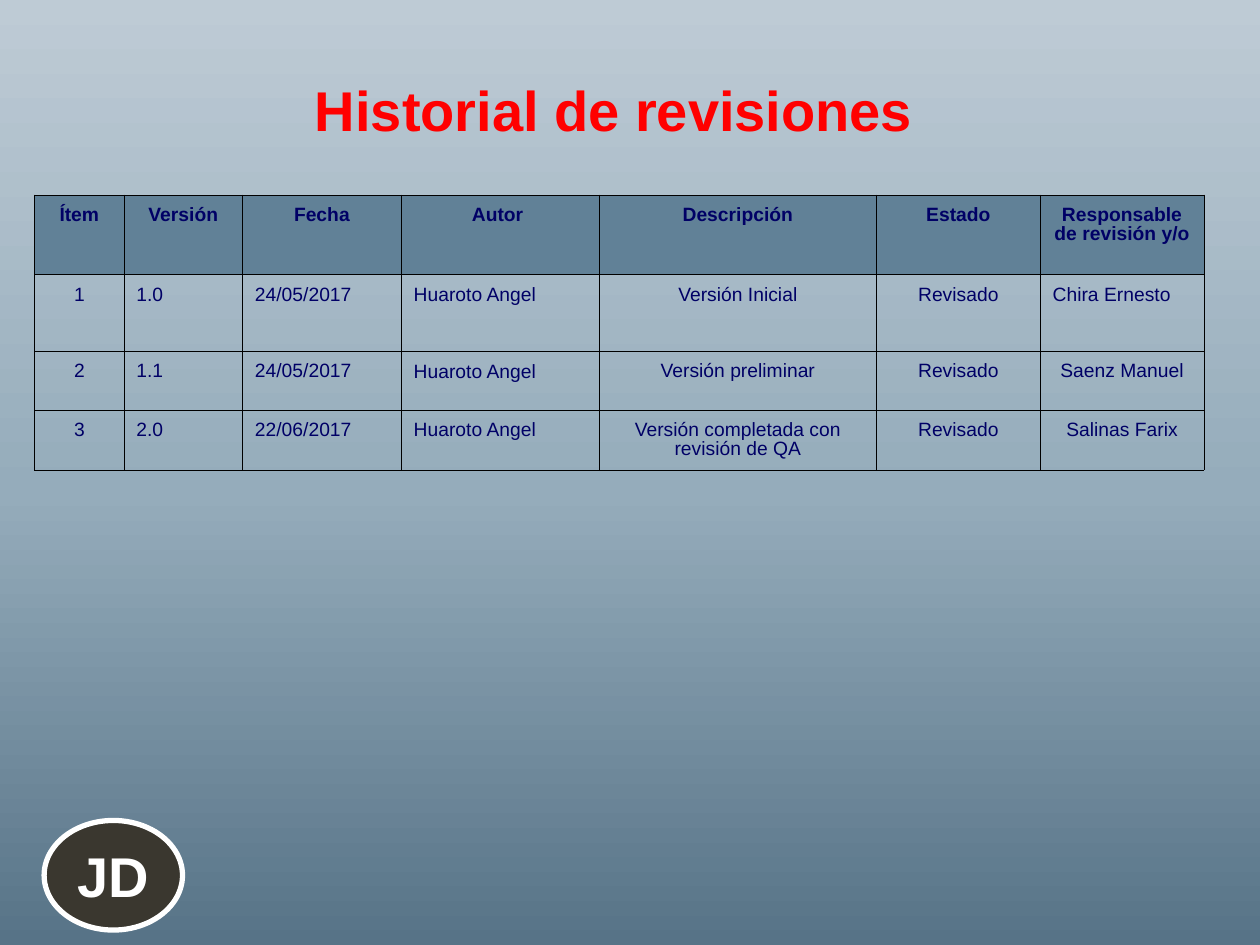
from copy import deepcopy
from dataclasses import dataclass

from lxml import etree
from pptx import Presentation
from pptx import util as u
from pptx.dml.color import RGBColor
from pptx.enum import shapes, text
from pptx.oxml.ns import qn

LEFT = text.PP_ALIGN.LEFT
CENTER = text.PP_ALIGN.CENTER


@dataclass(frozen=True)
class Theme:
    font: str = "Arial"
    title: str = "FF0000"
    ink: str = "000066"
    header: str = "618197"
    border: str = "000000"
    badge: str = "3A372F"
    white: str = "FFFFFF"
    gradient: tuple = ((0, "577387"), (0.48, "95ACBB"), (1, "BECBD5"))
    large: int = 32
    small: int = 11
    thin: float = 0.23
    thick: float = 0.5


@dataclass(frozen=True)
class Column:
    heading: str
    width: float
    align: int = CENTER


@dataclass(frozen=True)
class Revision:
    values: tuple
    height: float
    author_spacing: tuple = (0.89, 4)
    reviewer_align: int = CENTER


THEME = Theme()
COLUMNS = (
    Column("Ítem", 1.8),
    Column("Versión", 2.39, LEFT),
    Column("Fecha", 3.2, LEFT),
    Column("Autor ", 3.99, LEFT),
    Column("Descripción", 5.59),
    Column("Estado", 3.3),
    Column("Responsable de revisión y/o", 3.3),
)
AUTHOR, REVIEWER = 3, 6
HEAVY_EDGES = (0, REVIEWER, len(COLUMNS))
HEADER_HEIGHT = 1.6
REVISIONS = (
    Revision(("1", "1.0", "24/05/2017", "Huaroto Angel", "Versión Inicial",
              "Revisado", "Chira Ernesto"), 1.54, (0.93, 3), LEFT),
    Revision(("2", "1.1", "24/05/2017", "Huaroto Angel", "Versión preliminar",
              "Revisado", "Saenz Manuel"), 1.2, (0.93, 3)),
    Revision(("3", "2.0", "22/06/2017", "Huaroto Angel",
              "Versión completada con revisión de QA",
              "Revisado", "Salinas Farix"), 1.2),
)


def color(value: str) -> RGBColor:
    return RGBColor.from_string(value)


def write(frame, words: str, *, size: float, ink: str, bold: bool = False,
          align: int = LEFT, line: float = 1.0, before: float = 0) -> None:
    para = frame.paragraphs[0]
    para.alignment = align
    para.line_spacing = line
    para.space_before = u.Pt(before)
    span = para.add_run()
    span.text = words
    span.font.name = THEME.font
    span.font.size = u.Pt(size)
    span.font.bold = bold
    span.font.color.rgb = color(ink)


def paint_background(page) -> None:
    fill = page.background.fill
    fill.gradient()
    fill.gradient_angle = 90
    stop_list = page.element.find(".//" + qn("a:gsLst"))
    stop_list.append(deepcopy(stop_list[-1]))
    for stop, (position, value) in zip(fill.gradient_stops, THEME.gradient):
        stop.position = position
        stop.color.rgb = color(value)


def draw_borders(cell, row: int, column: int) -> None:
    heavy = {"L": column in HEAVY_EDGES, "R": column + 1 in HEAVY_EDGES,
             "T": row == 0, "B": False}
    properties = cell._tc.get_or_add_tcPr()
    for side, is_heavy in heavy.items():
        width = u.Pt(THEME.thick if is_heavy else THEME.thin)
        line = etree.SubElement(properties, qn(f"a:ln{side}"), w=str(int(width)))
        solid = etree.SubElement(line, qn("a:solidFill"))
        etree.SubElement(solid, qn("a:srgbClr"), val=THEME.border)


def draw_cell(cell, row: int, column: int, words: str, align: int,
              spacing: tuple) -> None:
    cell.margin_left = cell.margin_right = u.Cm(0.25)
    cell.margin_top, cell.margin_bottom = u.Cm(0.23), u.Cm(0.13)
    draw_borders(cell, row, column)
    if row == 0:
        cell.fill.solid()
        cell.fill.fore_color.rgb = color(THEME.header)
    else:
        cell.fill.background()
    write(cell.text_frame, words, size=THEME.small, ink=THEME.ink, bold=row == 0,
          align=align, line=spacing[0], before=spacing[1])


def draw_history(page) -> None:
    heights = [HEADER_HEIGHT] + [revision.height for revision in REVISIONS]
    table = page.shapes.add_table(
        len(heights), len(COLUMNS), u.Cm(0.7), u.Cm(3.93),
        u.Cm(sum(column.width for column in COLUMNS)), u.Cm(sum(heights))).table
    table.first_row = table.horz_banding = False
    for row, height in enumerate(heights):
        table.rows[row].height = u.Cm(height)
    for index, column in enumerate(COLUMNS):
        table.columns[index].width = u.Cm(column.width)
        draw_cell(table.cell(0, index), 0, index, column.heading, CENTER, (0.89, 4))
        for row, revision in enumerate(REVISIONS, 1):
            align = revision.reviewer_align if index == REVIEWER else column.align
            spacing = revision.author_spacing if index == AUTHOR else (0.89, 4)
            draw_cell(table.cell(row, index), row, index,
                      revision.values[index], align, spacing)


def draw_title(page) -> None:
    box = page.shapes.add_textbox(u.Cm(6.1), u.Cm(1.4), u.Cm(12.65), u.Cm(1.63))
    box.text_frame.word_wrap = False
    box.text_frame.auto_size = text.MSO_AUTO_SIZE.SHAPE_TO_FIT_TEXT
    write(box.text_frame, "Historial de revisiones", size=THEME.large,
          ink=THEME.title, bold=True)


def draw_badge(page) -> None:
    badge = page.shapes.add_shape(shapes.MSO_SHAPE.OVAL, u.Cm(0.89), u.Cm(16.54),
                                  u.Cm(2.79), u.Cm(2.21))
    badge.shadow.inherit = False
    badge.fill.solid()
    badge.fill.fore_color.rgb = color(THEME.badge)
    badge.line.color.rgb = color(THEME.white)
    badge.line.width = u.Pt(3)
    badge.text_frame.word_wrap = False
    write(badge.text_frame, "JD", size=THEME.large, ink=THEME.white, bold=True,
          align=CENTER)


def main() -> None:
    deck = Presentation()
    deck.slide_width, deck.slide_height = u.Cm(25.4), u.Cm(19.05)
    page = deck.slides.add_slide(deck.slide_layouts[6])
    paint_background(page)
    draw_title(page)
    draw_history(page)
    draw_badge(page)
    deck.save("out.pptx")


if __name__ == "__main__":
    main()
